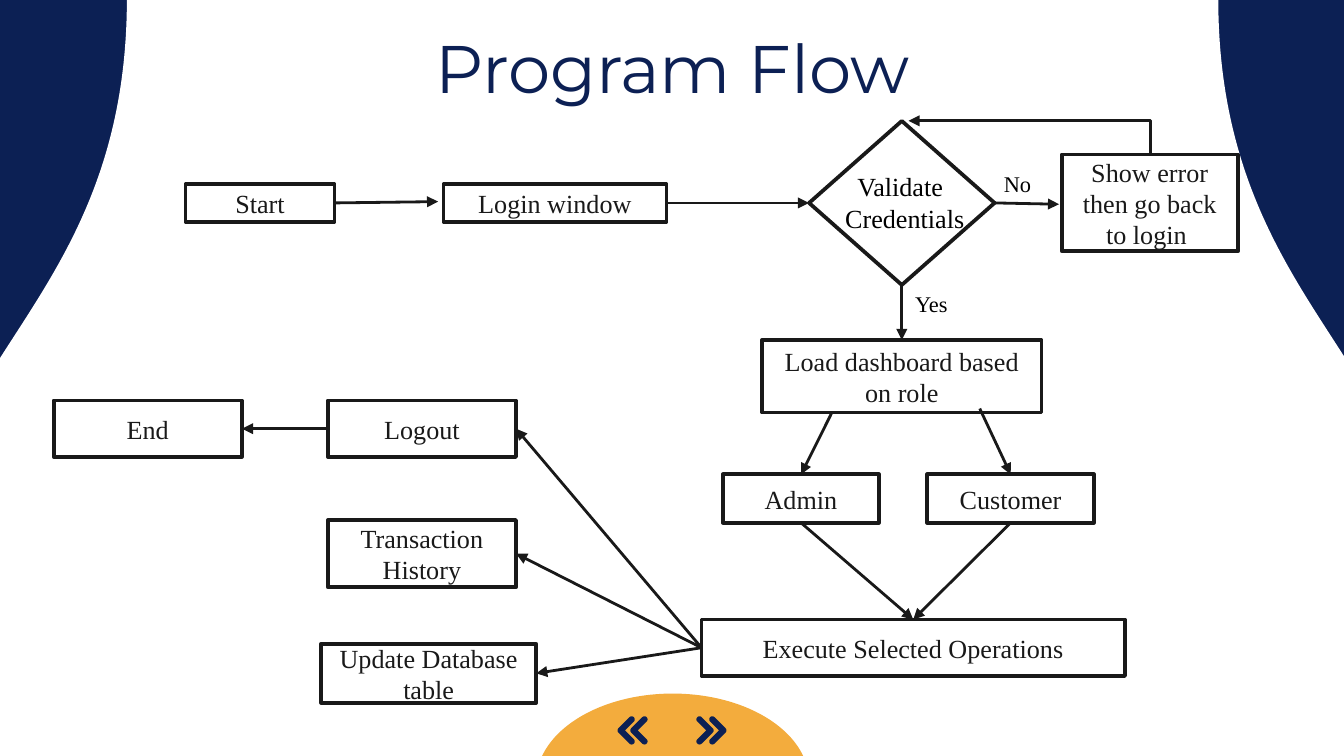
from dataclasses import dataclass
from math import cos, radians, sin, sqrt
from typing import NamedTuple

from lxml.etree import SubElement
from pptx import Presentation
from pptx.dml.color import RGBColor
from pptx.enum.shapes import MSO_CONNECTOR, MSO_SHAPE
from pptx.enum.text import MSO_ANCHOR, MSO_AUTO_SIZE, PP_ALIGN
from pptx.oxml.ns import qn
from pptx.util import Inches, Pt

COLORS = {"navy": "0C2054", "white": "FFFFFF", "orange": "F3AC3D", "ink": "191919", "black": "000000"}
TITLE_FONT, BODY_FONT = "Montserrat", "Times New Roman"
CELL = Inches(0.1)  # the slide is a grid of 100 columns by 56.2 rows
TOP, LEFT, BOTTOM, RIGHT = range(4)


class Area(NamedTuple):
    column: float
    row: float
    columns: float
    rows: float


class Point(NamedTuple):
    column: float
    row: float


class Site(NamedTuple):
    step: str
    side: int


@dataclass
class Step:
    name: str
    area: Area
    text: str


@dataclass
class Arrow:
    start: Site | Point
    end: Site | Point


@dataclass
class Label:
    text: str
    area: Area
    size: int
    indent: float = 0


STEPS = [
    Step("start", Area(13.8, 13.7, 11.1, 2.8), "Start"),
    Step("login", Area(33, 13.7, 16.6, 2.8), "Login window"),
    Step("error", Area(79, 11.5, 13.1, 7.2), "Show error then go back to login "),
    Step("dashboard", Area(56.7, 25.3, 20.8, 5.4), "Load dashboard based on role"),
    Step("admin", Area(53.8, 35.3, 11.6, 3.6), "Admin"),
    Step("customer", Area(69, 35.3, 12.4, 3.6), "Customer"),
    Step("execute", Area(52.2, 46.1, 31.5, 4.2), "Execute Selected Operations"),
    Step("update", Area(23.9, 47.9, 16, 4.4), "Update Database table"),
    Step("history", Area(24.4, 38.7, 14, 5), "Transaction History"),
    Step("logout", Area(24.4, 29.8, 14, 4.2), "Logout"),
    Step("end", Area(4, 29.8, 14, 4.2), "End"),
]
DECISION = Area(60.2, 9, 13.8, 12.2)
DECISION_LABEL = Label("Validate Credentials", Area(61.9, 12.2, 12.1, 5.7), 14, indent=0.9)
BRANCH_LABELS = [
    Label("No", Area(73.7, 12.2, 5.1, 3), 12),
    Label("Yes", Area(67.1, 21.1, 5.1, 3), 12),
]
ARROWS = [
    Arrow(Site("start", RIGHT), Point(32.6, 15)),
    Arrow(Site("login", RIGHT), Site("decision", LEFT)),
    Arrow(Site("decision", RIGHT), Point(78.8, 15.2)),
    Arrow(Site("decision", BOTTOM), Site("dashboard", TOP)),
    Arrow(Point(61.9, 30.7), Site("admin", TOP)),
    Arrow(Point(72.9, 30.4), Site("customer", TOP)),
    Arrow(Site("admin", BOTTOM), Site("execute", TOP)),
    Arrow(Site("customer", BOTTOM), Site("execute", TOP)),
    *(Arrow(Site("execute", LEFT), Site(name, RIGHT)) for name in ("logout", "history", "update")),
    Arrow(Site("logout", LEFT), Site("end", RIGHT)),
]


def color(name: str) -> RGBColor:
    return RGBColor.from_string(COLORS[name])


def grid(values: tuple) -> list[int]:
    return [round(value * CELL) for value in values]


def set_transform(shape, **attributes: str) -> None:
    """Set rotation and flips directly on the shape's transform."""
    transform = shape.element.spPr.find(qn("a:xfrm"))
    for name, value in attributes.items():
        transform.set(name, value)


def add_filled(shapes, kind, area: Area, fill: str, outlined: bool = False):
    shape = shapes.add_shape(kind, *grid(area))
    shape.shadow.inherit = False
    shape.fill.solid()
    shape.fill.fore_color.rgb = color(fill)
    if outlined:
        shape.line.color.rgb = color("ink")
        shape.line.width = Pt(2)
    else:
        shape.line.fill.background()
    return shape


def write(frame, text: str, font: str, size: int, font_color: str, align=PP_ALIGN.CENTER):
    frame.word_wrap = True
    frame.text = text
    para = frame.paragraphs[0]
    para.alignment = align
    para.font.name = font
    para.font.size = Pt(size)
    para.font.color.rgb = color(font_color)
    return para


def add_step(shapes, step: Step):
    box = add_filled(shapes, MSO_SHAPE.RECTANGLE, step.area, "white", outlined=True)
    box.text_frame.vertical_anchor = MSO_ANCHOR.MIDDLE
    write(box.text_frame, step.text, BODY_FONT, 14, "ink")
    return box


def add_label(shapes, label: Label) -> None:
    frame = shapes.add_textbox(*grid(label.area)).text_frame
    para = write(frame, label.text, BODY_FONT, label.size, "black", PP_ALIGN.LEFT)
    frame.auto_size = MSO_AUTO_SIZE.SHAPE_TO_FIT_TEXT
    if label.indent:
        para._p.get_or_add_pPr().set("indent", str(round(label.indent * CELL)))


def style_arrow(connector) -> None:
    connector.line.color.rgb = color("ink")
    connector.line.width = Pt(1.5)
    properties = connector.element.spPr
    SubElement(properties.find(qn("a:ln")), qn("a:tailEnd"), type="triangle")
    SubElement(properties, qn("a:effectLst"))


def add_arrow(shapes, arrow: Arrow, boxes: dict) -> None:
    ends = [Point(0, 0) if isinstance(end, Site) else end for end in (arrow.start, arrow.end)]
    connector = shapes.add_connector(MSO_CONNECTOR.STRAIGHT, *grid(ends[0]), *grid(ends[1]))
    if isinstance(arrow.start, Site):
        connector.begin_connect(boxes[arrow.start.step], arrow.start.side)
    if isinstance(arrow.end, Site):
        connector.end_connect(boxes[arrow.end.step], arrow.end.side)
    style_arrow(connector)


def add_return_arrow(shapes) -> None:
    """Lead from the error box up and back to the decision with one bend."""
    connector = shapes.add_connector(MSO_CONNECTOR.ELBOW, *grid((75.3, 1.3)), *grid((77.9, 19.3)))
    connector.element.spPr.find(qn("a:prstGeom")).set("prst", "bentConnector2")
    set_transform(connector, rot=str(270 * 60000), flipV="1")
    style_arrow(connector)


def add_chevron(shapes, tip: Point, direction: int) -> None:
    """Draw a round-ended chevron; direction is 1 for right and -1 for left."""
    radius, reach = 0.23, 0.82
    arcs = [(-reach, -reach, 135, 315), (0, 0, -45, 45), (-reach, reach, 45, 225)]
    outline = [
        (x + radius * cos(radians(angle)), y + radius * sin(radians(angle)))
        for x, y, first, last in arcs
        for angle in range(first, last + 1, 15)
    ]
    outline.append((-radius * sqrt(2), 0))
    points = [grid((tip.column + direction * (x - radius), tip.row + y)) for x, y in outline]
    builder = shapes.build_freeform(*points[0])
    builder.add_line_segments(points[1:])
    chevron = builder.convert_to_shape()
    chevron.shadow.inherit = False
    chevron.fill.solid()
    chevron.fill.fore_color.rgb = color("navy")
    chevron.line.fill.background()


def add_backdrop(slide) -> None:
    slide.background.fill.solid()
    slide.background.fill.fore_color.rgb = color("navy")
    for column, rotation, flip in ((38.6, 270, "0"), (5.1, 90, "1")):
        wave = add_filled(slide.shapes, MSO_SHAPE.FLOWCHART_DOCUMENT, Area(column, -11.4, 56.4, 79), "white")
        set_transform(wave, rot=str(rotation * 60000), flipH=flip)
    dome = add_filled(slide.shapes, MSO_SHAPE.PIE, Area(39.9, 51.6, 20.3, 13.1), "orange")
    dome.adjustments[0], dome.adjustments[1] = 0, 108.312
    set_transform(dome, rot=str(180 * 60000), flipH="1")
    for direction, tips in ((1, (53.1, 54.05)), (-1, (46.9, 45.95))):
        group = slide.shapes.add_group_shape()
        for column in tips:
            add_chevron(group.shapes, Point(column, 54.35), direction)


def place_title(slide) -> None:
    title = slide.shapes.title
    title.left, title.top, title.width, title.height = grid((7.9, 2.3, 84.3, 5.3))
    frame = title.text_frame
    frame.margin_left = frame.margin_right = frame.margin_top = frame.margin_bottom = CELL
    frame.vertical_anchor = MSO_ANCHOR.MIDDLE
    frame.auto_size = MSO_AUTO_SIZE.NONE
    write(frame, "Program Flow", TITLE_FONT, 36, "navy")
    title.element.getparent().append(title.element)  # in front of the backdrop


def main() -> None:
    deck = Presentation()
    deck.slide_width, deck.slide_height = grid((100, 56.25))
    slide = deck.slides.add_slide(deck.slide_layouts[5])
    add_backdrop(slide)
    place_title(slide)
    boxes = {step.name: add_step(slide.shapes, step) for step in STEPS}
    group = slide.shapes.add_group_shape()
    boxes["decision"] = add_filled(group.shapes, MSO_SHAPE.DIAMOND, DECISION, "white", outlined=True)
    add_label(group.shapes, DECISION_LABEL)
    for arrow in ARROWS:
        add_arrow(slide.shapes, arrow, boxes)
    add_return_arrow(slide.shapes)
    for label in BRANCH_LABELS:
        add_label(slide.shapes, label)
    deck.save("out.pptx")


if __name__ == "__main__":
    main()
